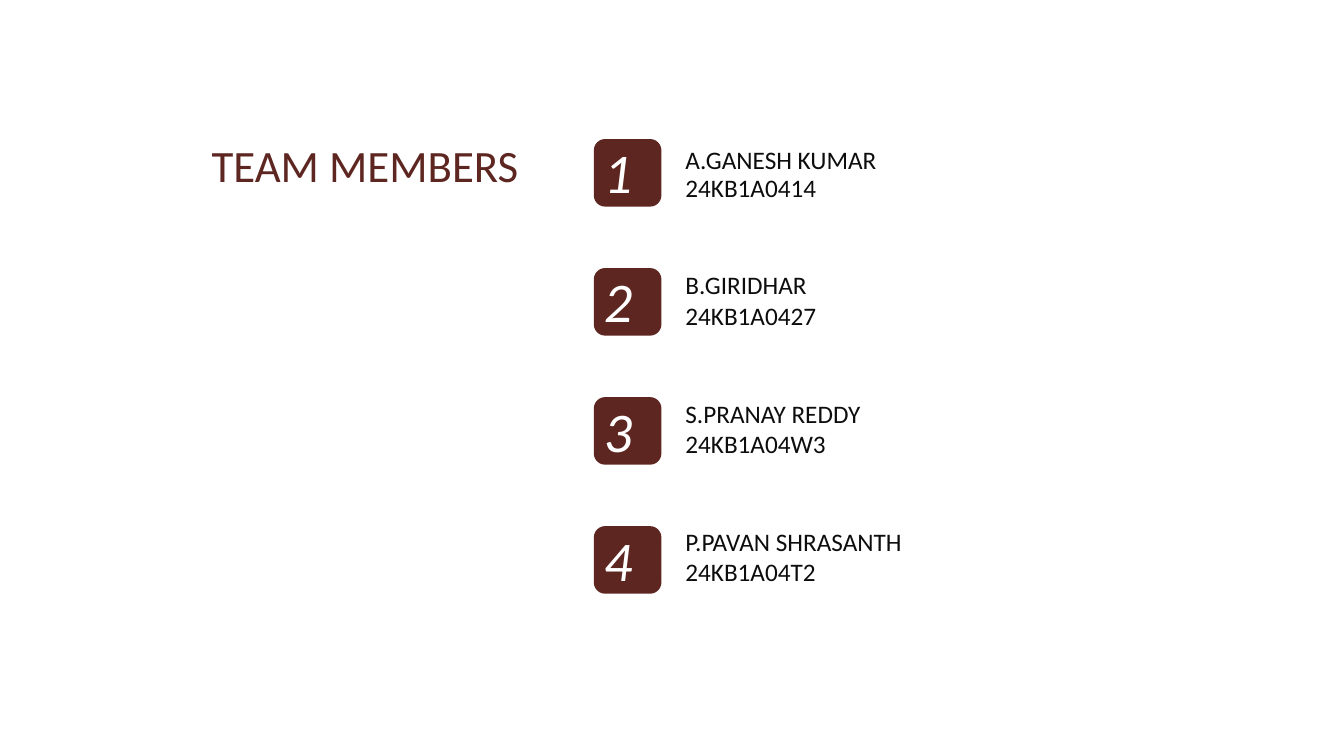
from pptx import Presentation
from pptx.dml.color import RGBColor
from pptx.enum import shapes, text
from pptx.util import Inches, Pt

MAROON = RGBColor(0x5E, 0x26, 0x20)
INK = RGBColor(0x0D, 0x0D, 0x0D)
WHITE = RGBColor(0xFF, 0xFF, 0xFF)

TILE_LEFT, TILE_TOP, TILE_SIZE, TILE_PITCH = 5.89, 1.38, 0.67, 1.28
TEXT_LEFT, ROLL_TOP, ROLL_PITCH = 6.7, 1.66, 1.27

# name, top of the name, roll number
MEMBERS = [
    ("A.GANESH KUMAR", 1.38, "24KB1A0414"),
    ("B.GIRIDHAR", 2.62, "24KB1A0427"),
    ("S.PRANAY REDDY", 3.9, "24KB1A04W3"),
    ("P.PAVAN SHRASANTH", 5.17, "24KB1A04T2"),
]

deck = Presentation()
deck.slide_width, deck.slide_height = Inches(13.33), Inches(7.5)
page = deck.slides.add_slide(deck.slide_layouts[6])


def add_label(wording, left, top, width, height, size, color, italic=False):
    box = page.shapes.add_textbox(Inches(left), Inches(top), Inches(width), Inches(height))
    frame = box.text_frame
    frame.word_wrap = True
    frame.auto_size = text.MSO_AUTO_SIZE.SHAPE_TO_FIT_TEXT
    span = frame.paragraphs[0].add_run()
    span.text = wording
    span.font.name = "Calibri"
    span.font.size = Pt(size)
    span.font.italic = italic
    span.font.color.rgb = color


add_label("TEAM MEMBERS", 2, 1.32, 3.54, 0.64, 32, MAROON)

for index, (name, name_top, roll_number) in enumerate(MEMBERS):
    tile_top = TILE_TOP + index * TILE_PITCH
    tile = page.shapes.add_shape(
        shapes.MSO_SHAPE.ROUNDED_RECTANGLE,
        Inches(TILE_LEFT), Inches(tile_top), Inches(TILE_SIZE), Inches(TILE_SIZE))
    tile.shadow.inherit = False
    tile.fill.solid()
    tile.fill.fore_color.rgb = MAROON
    tile.line.fill.background()

    add_label(str(index + 1), TILE_LEFT, tile_top - 0.06, 0.53, 0.77, 40, WHITE, italic=True)
    add_label(name, TEXT_LEFT, name_top, 4.46, 0.4, 18, INK)
    add_label(roll_number, TEXT_LEFT, ROLL_TOP + index * ROLL_PITCH, 5.03, 0.4, 18, INK)

deck.save("out.pptx")
